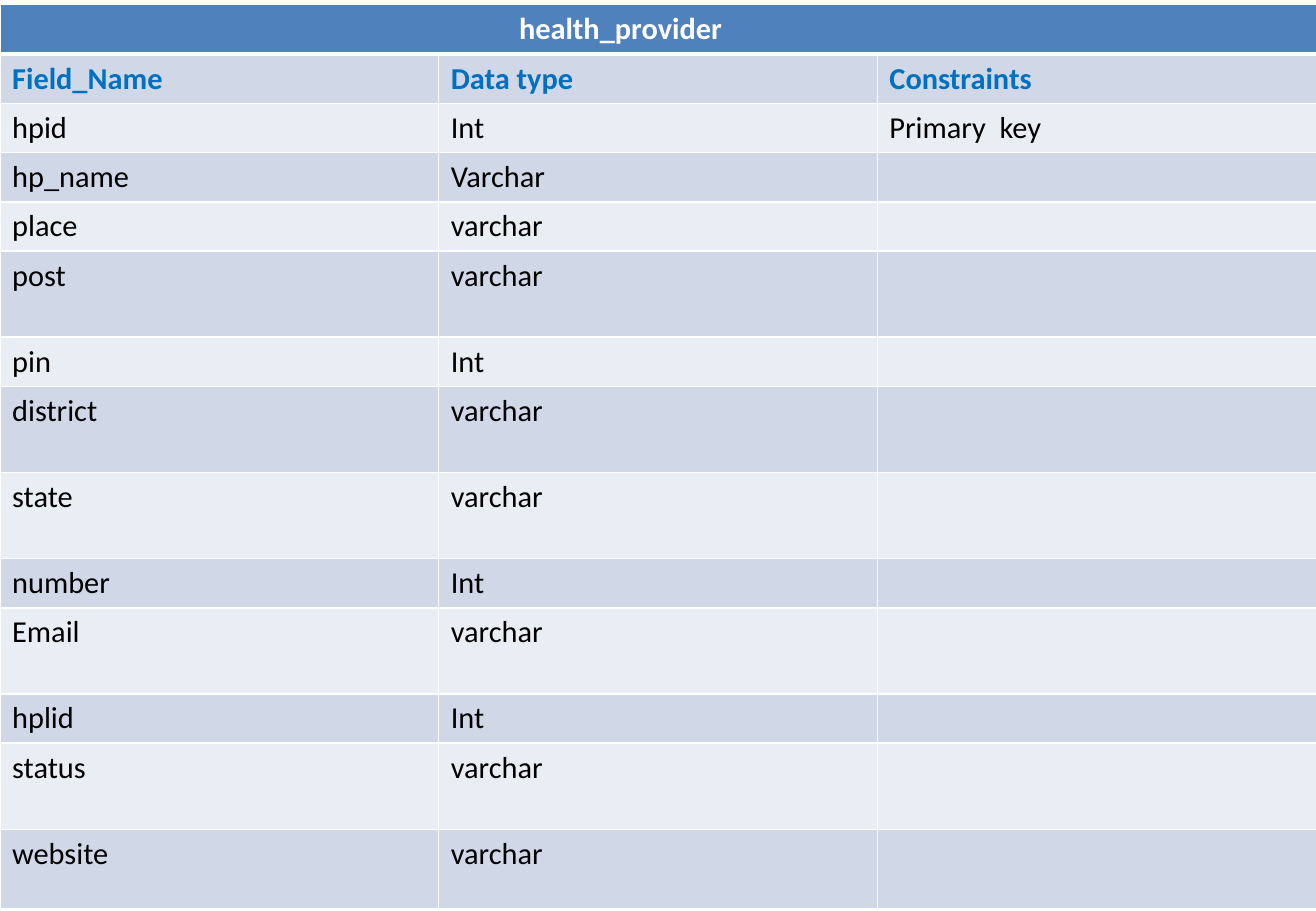
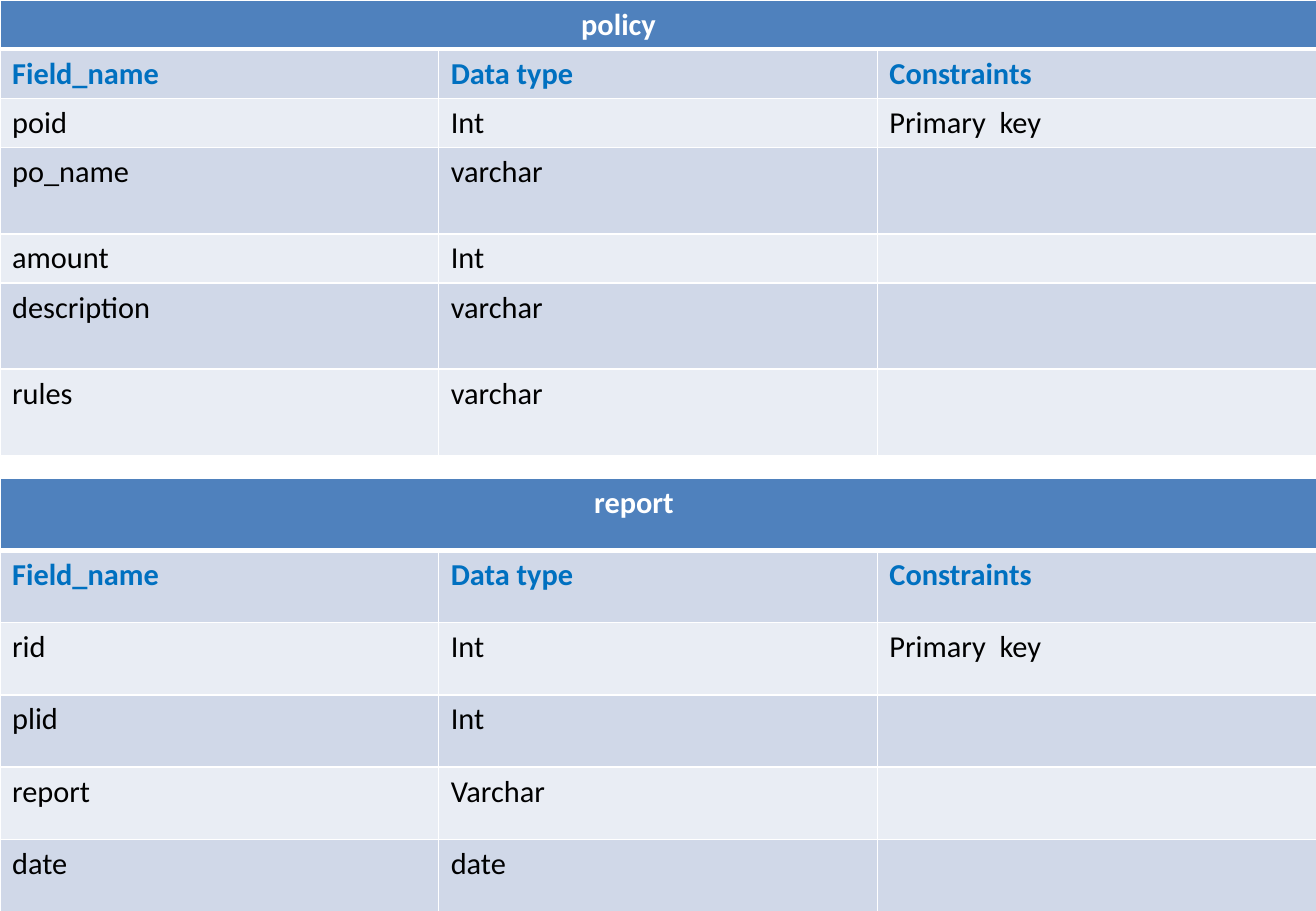
"""Build two slides of database table definitions."""
from lxml import etree
from pptx import Presentation
from pptx.dml.color import RGBColor
from pptx.oxml.ns import qn
from pptx.util import Cm, Pt

SLIDE_WIDTH, SLIDE_HEIGHT = Cm(27.51), Cm(19.05)
BLANK_LAYOUT = 6
FONT_NAME, FONT_SIZE = "Calibri", Pt(18)
WHITE = RGBColor(0xFF, 0xFF, 0xFF)
BLACK = RGBColor(0, 0, 0)
TITLE_FILL = RGBColor(0x4F, 0x81, 0xBD)
HEADER_TEXT = RGBColor(0x00, 0x70, 0xC0)
BAND_FILLS = (RGBColor(0xE9, 0xED, 0xF4), RGBColor(0xD0, 0xD8, 0xE8))
THIN, THICK = Pt(1), Pt(3)
LOW, MEDIUM, TALL, LAST = 1.03, 1.51, 1.8, 1.67
COLUMN_COUNT = 3

HEALTH_PROVIDER = {
    "title": "health_provider", "title_left": 10.85, "top": 0.1,
    "rows": [
        ("Field_Name", "Data type", "Constraints"),
        ("hpid", "Int", "Primary  key"),
        ("hp_name", "Varchar"),
        ("place", "varchar"),
        ("post", "varchar"),
        ("pin", "Int"),
        ("district", "varchar"),
        ("state", "varchar"),
        ("number", "Int"),
        ("Email", "varchar"),
        ("hplid", "Int"),
        ("status", "varchar"),
        ("website", "varchar"),
    ],
    "heights": [LOW] * 5 + [TALL, LOW, TALL, TALL, LOW, TALL, LOW, TALL, LAST],
}
POLICY = {
    "title": "policy", "title_left": 12.15, "top": 0,
    "rows": [
        ("Field_name", "Data type", "Constraints"),
        ("poid", "Int", "Primary  key"),
        ("po_name", "varchar"),
        ("amount", "Int"),
        ("description", "varchar"),
        ("rules", "varchar"),
    ],
    "heights": [LOW] * 3 + [TALL, LOW, TALL, TALL],
}
REPORT = {
    "title": "report", "title_left": 12.42, "top": 10,
    "rows": [
        ("Field_name", "Data type", "Constraints"),
        ("rid", "Int", "Primary  key"),
        ("plid", "Int"),
        ("report", "Varchar"),
        ("date", "date"),
    ],
    "heights": [MEDIUM] * 6,
}
SLIDES = [[HEALTH_PROVIDER], [POLICY, REPORT]]


def set_borders(cell, top, bottom):
    properties = cell._tc.get_or_add_tcPr()
    for side, width in (("L", THIN), ("R", THIN), ("T", top), ("B", bottom)):
        line = etree.SubElement(properties, qn(f"a:ln{side}"), w=str(width))
        fill = etree.SubElement(line, qn("a:solidFill"))
        etree.SubElement(fill, qn("a:srgbClr"), val=str(WHITE))


def style_cell(cell, row_index):
    set_borders(cell, THICK if row_index == 1 else THIN,
                THICK if row_index == 0 else THIN)
    cell.fill.solid()
    cell.fill.fore_color.rgb = BAND_FILLS[row_index % 2] if row_index else TITLE_FILL
    font = cell.text_frame.paragraphs[0].font
    font.name, font.size = FONT_NAME, FONT_SIZE
    font.bold = row_index < 2
    font.color.rgb = (WHITE, HEADER_TEXT, BLACK)[min(row_index, 2)]


def add_definition(slide, definition):
    rows = [(definition["title"],)] + definition["rows"]
    heights = [Cm(height) for height in definition["heights"]]
    table = slide.shapes.add_table(
        len(rows), COLUMN_COUNT, Cm(0), Cm(definition["top"]),
        SLIDE_WIDTH, sum(heights)).table
    table.horz_banding = False
    for row_index, (values, height) in enumerate(zip(rows, heights)):
        table.rows[row_index].height = height
        for column_index in range(COLUMN_COUNT):
            cell = table.cell(row_index, column_index)
            if column_index < len(values):
                cell.text = values[column_index]
            style_cell(cell, row_index)
    title_cell = table.cell(0, 0)
    title_cell.merge(table.cell(0, COLUMN_COUNT - 1))
    title_cell.margin_left = Cm(definition["title_left"])


def main():
    presentation = Presentation()
    presentation.slide_width, presentation.slide_height = SLIDE_WIDTH, SLIDE_HEIGHT
    for definitions in SLIDES:
        slide = presentation.slides.add_slide(presentation.slide_layouts[BLANK_LAYOUT])
        for definition in definitions:
            add_definition(slide, definition)
    presentation.save("out.pptx")


if __name__ == "__main__":
    main()
